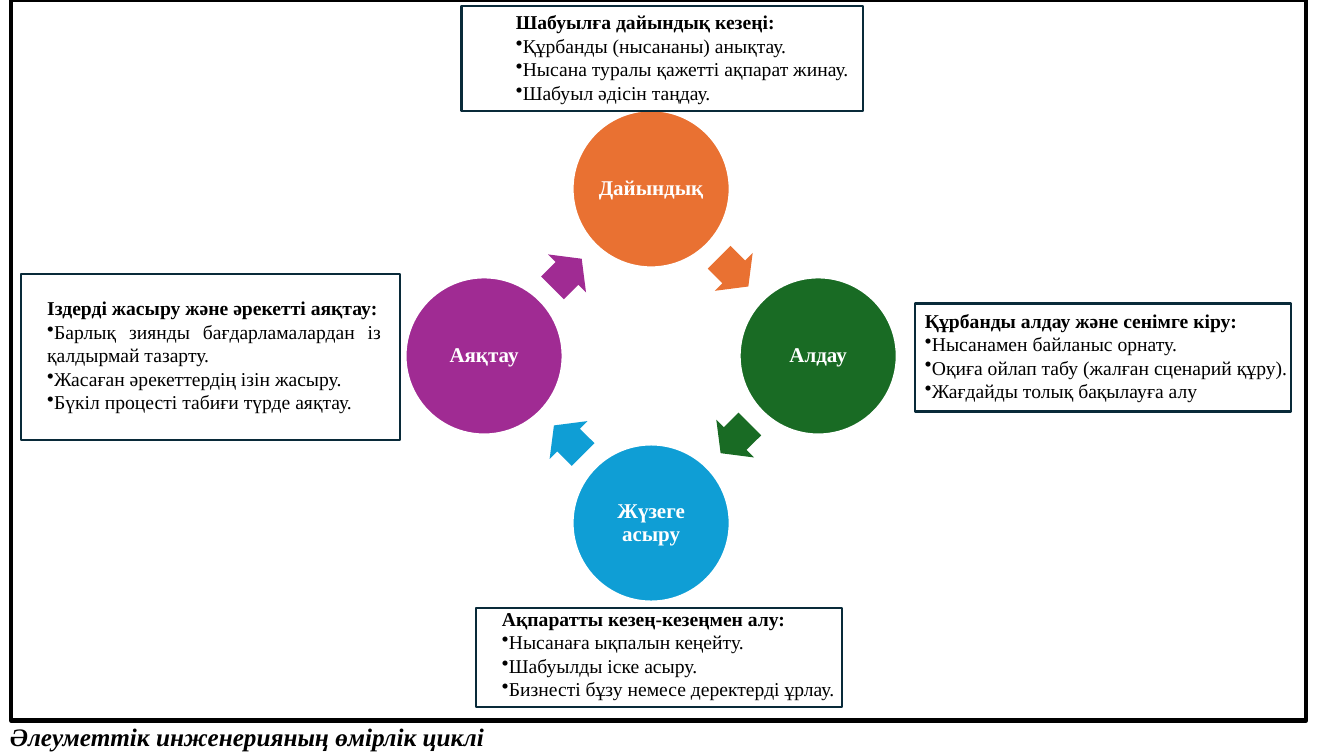
from dataclasses import dataclass
from math import cos, radians, sin
from typing import NamedTuple

from lxml.etree import SubElement
from pptx import Presentation
from pptx.dml.color import RGBColor
from pptx.enum.shapes import MSO_SHAPE as Shape
from pptx.enum.text import MSO_ANCHOR as Anchor, MSO_AUTO_SIZE as AutoSize, PP_ALIGN as Align
from pptx.oxml.ns import qn
from pptx.util import Cm, Pt


@dataclass(frozen=True)
class Theme:
    font: str = "Times New Roman"
    ink: str = "000000"
    paper: str = "FFFFFF"
    frame: str = "092A39"
    title_size: int = 18
    label_size: int = 15
    body_size: int = 14
    thin: float = 1.5
    thick: float = 3


class Box(NamedTuple):
    left: float
    top: float
    width: float
    height: float

    def lengths(self) -> list:
        return [Cm(v) for v in self]


@dataclass(frozen=True)
class Stage:
    label: str
    color: str
    heading: str
    points: tuple[str, ...]
    text: Box
    frame: Box
    align: Align = Align.LEFT


THEME = Theme()
CENTER_X, CENTER_Y = 16.41, 8.97
RING_RADIUS, CIRCLE_SIZE = 4.21, 3.96
ARROW_RADIUS, ARROW_LENGTH, ARROW_WIDTH = 2.97, 1.04, 1.35
ARROW_LEAD = 44.5
BORDER = Box(0.28, 0, 32.64, 18.16)
TITLE = Box(0, 17.81, 13.16, 1.57)

STAGES = (
    Stage("Дайындық", "E97132", "Шабуылға дайындық кезеңі:",
          ("Құрбанды (нысананы) анықтау.",
           "Нысана туралы қажетті ақпарат жинау.",
           "Шабуыл әдісін таңдау."),
          Box(12.75, 0.13, 9.09, 2.64), Box(11.63, 0.15, 10.11, 2.64)),
    Stage("Алдау", "196B24", "Құрбанды алдау және сенімге кіру:",
          ("Нысанамен байланыс орнату.",
           "Оқиға ойлап табу (жалған сценарий құру).",
           "Жағдайды толық бақылауға алу"),
          Box(23.06, 7.65, 10.26, 2.64), Box(23.06, 7.65, 9.47, 2.72)),
    Stage("Жүзеге асыру", "0F9ED5", "Ақпаратты кезең-кезеңмен алу:",
          ("Нысанаға ықпалын кеңейту.",
           "Шабуылды іске асыру.",
           "Бизнесті бұзу немесе деректерді ұрлау."),
          Box(12.4, 15.16, 9.8, 2.64), Box(11.99, 15.32, 9.22, 2.49)),
    Stage("Аяқтау", "A02B93", "Іздерді жасыру және әрекетті аяқтау:",
          ("Барлық зиянды бағдарламалардан із қалдырмай тазарту.",
           "Жасаған әрекеттердің ізін жасыру.",
           "Бүкіл процесті табиғи түрде аяқтау."),
          Box(0.94, 7.34, 8.92, 3.25), Box(0.53, 6.91, 9.55, 4.17), Align.JUSTIFY),
)


def ring_box(angle: float, radius: float, width: float, height: float) -> Box:
    x = CENTER_X + radius * cos(radians(angle))
    y = CENTER_Y + radius * sin(radians(angle))
    return Box(x - width / 2, y - height / 2, width, height)


def add_shape(s, kind: Shape, box: Box, fill: str = "", line: str = "", weight: float = 0):
    sp = s.shapes.add_shape(kind, *box.lengths())
    sp.shadow.inherit = False
    if fill:
        sp.fill.solid()
        sp.fill.fore_color.rgb = RGBColor.from_string(fill)
    else:
        sp.fill.background()
    if line:
        sp.line.color.rgb = RGBColor.from_string(line)
        sp.line.width = Pt(weight)
    else:
        sp.line.fill.background()
    return sp


def style(p, size: int, color: str, bold: bool = False, italic: bool = False) -> None:
    p.font.name = THEME.font
    p.font.size = Pt(size)
    p.font.color.rgb = RGBColor.from_string(color)
    p.font.bold = bold
    p.font.italic = italic


def add_bullet(p) -> None:
    pr = p._p.get_or_add_pPr()
    pr.set("marL", "0")
    pr.set("indent", "0")
    bullet = SubElement(pr, qn("a:buChar"))
    bullet.set("char", "•")
    defaults = pr.find(qn("a:defRPr"))
    if defaults is not None:
        defaults.addprevious(bullet)


def add_circle(s, stage: Stage, angle: float) -> None:
    box = ring_box(angle, RING_RADIUS, CIRCLE_SIZE, CIRCLE_SIZE)
    sp = add_shape(s, Shape.OVAL, box, stage.color, THEME.paper, THEME.thin)
    tf = sp.text_frame
    tf.word_wrap = True
    tf.vertical_anchor = Anchor.MIDDLE
    tf.margin_left = tf.margin_right = tf.margin_top = tf.margin_bottom = Cm(0.05)
    p = tf.paragraphs[0]
    p.text = stage.label
    p.alignment = Align.CENTER
    p.line_spacing = 0.9
    style(p, THEME.label_size, THEME.paper, bold=True)


def add_arrow(s, stage: Stage, angle: float) -> None:
    box = ring_box(angle + ARROW_LEAD, ARROW_RADIUS, ARROW_LENGTH, ARROW_WIDTH)
    sp = add_shape(s, Shape.RIGHT_ARROW, box, stage.color)
    sp.adjustments[0] = 0.6
    sp.adjustments[1] = 0.5
    sp.rotation = angle + 135


def add_description(s, stage: Stage) -> None:
    tf = s.shapes.add_textbox(*stage.text.lengths()).text_frame
    tf.word_wrap = True
    tf.auto_size = AutoSize.SHAPE_TO_FIT_TEXT
    for i, line in enumerate((stage.heading, *stage.points)):
        p = tf.add_paragraph() if i else tf.paragraphs[0]
        p.text = line
        p.alignment = stage.align
        style(p, THEME.body_size, THEME.ink, bold=i == 0)
        if i:
            add_bullet(p)


def add_title(s, text: str) -> None:
    tf = s.shapes.add_textbox(*TITLE.lengths()).text_frame
    tf.word_wrap = True
    tf.vertical_anchor = Anchor.MIDDLE
    p = tf.paragraphs[0]
    p.text = text
    p.line_spacing = 0.9
    style(p, THEME.title_size, THEME.ink, bold=True, italic=True)


def main() -> None:
    prs = Presentation()
    prs.slide_width, prs.slide_height = Cm(33.87), Cm(19.05)
    s = prs.slides.add_slide(prs.slide_layouts[6])
    add_title(s, "Әлеуметтік инженерияның өмірлік циклі")
    for i, stage in enumerate(STAGES):
        angle = 90 * i - 90
        add_circle(s, stage, angle)
        add_arrow(s, stage, angle)
    for stage in STAGES:
        add_description(s, stage)
    add_shape(s, Shape.RECTANGLE, BORDER, line=THEME.ink, weight=THEME.thick)
    for stage in STAGES:
        add_shape(s, Shape.RECTANGLE, stage.frame, line=THEME.frame, weight=THEME.thin)
    prs.save("out.pptx")


if __name__ == "__main__":
    main()
